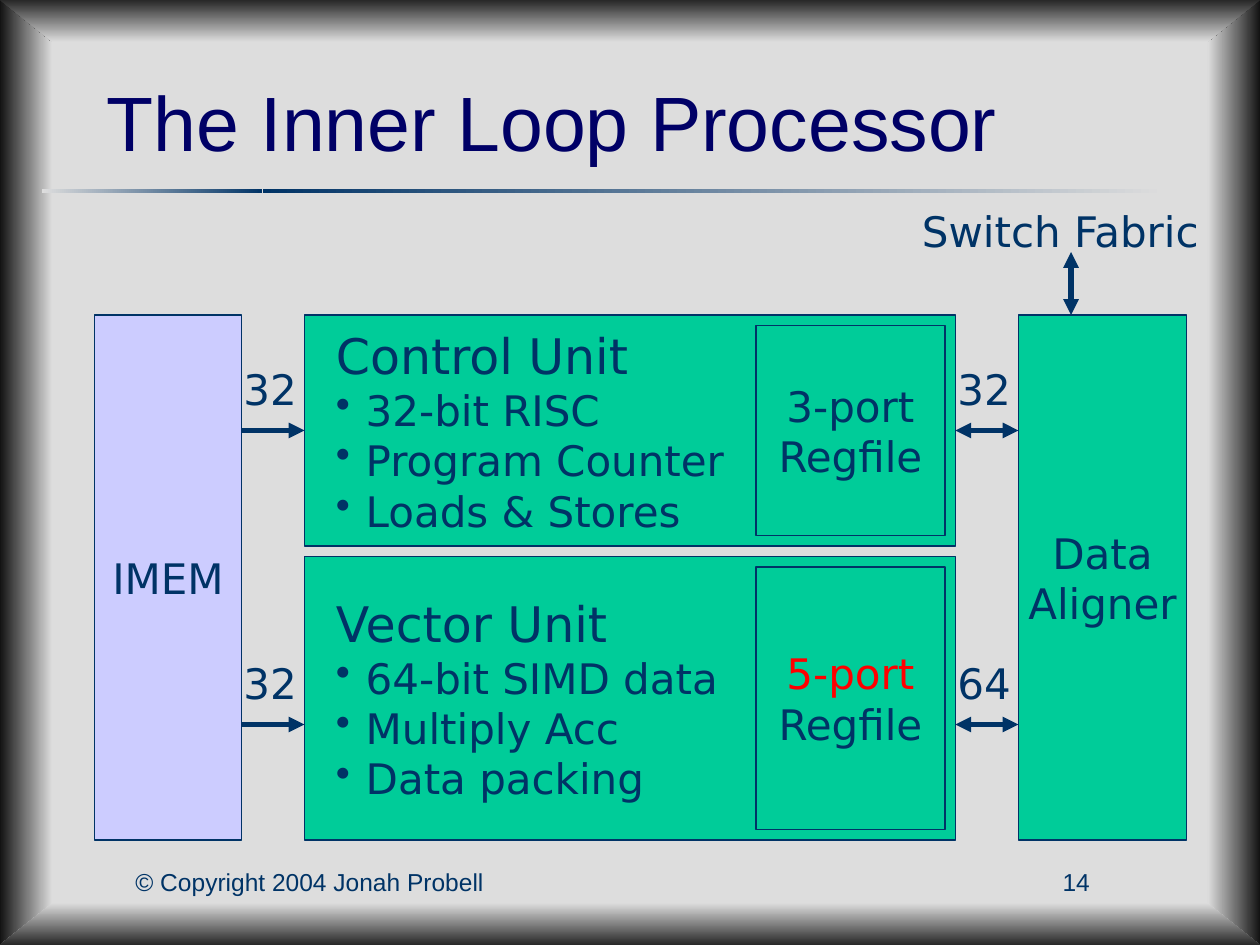
from dataclasses import dataclass
from typing import NamedTuple

from lxml import etree
from pptx import Presentation
from pptx import util as u
from pptx.dml.color import RGBColor
from pptx.enum import shapes, text
from pptx.oxml import ns

HUES = {
    "pale": "DDDDDD", "side": "131313", "edge": "272727", "ink": "003366",
    "title": "000066", "green": "00CC99", "lilac": "CCCCFF", "red": "FF0000",
}
SANS, ARIAL = "DejaVu Sans", "Arial"
MID, TOP = text.MSO_ANCHOR.MIDDLE, text.MSO_ANCHOR.TOP
LEFT, CENTER = text.PP_ALIGN.LEFT, text.PP_ALIGN.CENTER
WIDE, HIGH = 720, 540


class Row(NamedTuple):
    words: str
    size: float = 24
    hue: str = "ink"
    dot: bool = False


class Area(NamedTuple):
    x: float
    y: float
    w: float
    h: float


@dataclass
class Block:
    area: Area
    rows: list[Row]
    fill: str = ""
    pad: tuple[float, float] = (7.2, 3.6)
    align: text.PP_ALIGN = CENTER
    anchor: text.MSO_ANCHOR = MID
    font: str = SANS


@dataclass
class Fade:
    area: Area
    start: str
    end: str


@dataclass
class Trim:
    spots: list[tuple[float, float]]
    start: str
    end: str


@dataclass
class Arrow:
    x: float
    y: float
    dx: float
    dy: float
    both: bool


def tint(key: str) -> RGBColor:
    return RGBColor.from_string(HUES[key])


def shade(shape, start: str, end: str, angle: float) -> None:
    shape.shadow.inherit = False
    shape.line.fill.background()
    shape.fill.gradient()
    shape.fill.gradient_angle = angle
    for stop, key in zip(shape.fill.gradient_stops, (start, end)):
        stop.color.rgb = tint(key)


def draw_fade(slide, fade: Fade) -> None:
    shape = slide.shapes.add_shape(shapes.MSO_SHAPE.RECTANGLE, *map(u.Pt, fade.area))
    shade(shape, fade.start, fade.end, 180)


def draw_trim(slide, trim: Trim) -> None:
    first, *rest = [(u.Pt(x), u.Pt(y)) for x, y in trim.spots]
    pen = slide.shapes.build_freeform(*first)
    pen.add_line_segments(rest, close=True)
    shade(pen.convert_to_shape(), trim.start, trim.end, 270)


def add_dot(para) -> None:
    props = para._p.get_or_add_pPr()
    props.set("marL", str(u.Pt(17)))
    props.set("indent", str(-u.Pt(17)))
    color = etree.SubElement(props, ns.qn("a:buClr"))
    etree.SubElement(color, ns.qn("a:srgbClr"), val=HUES["ink"])
    etree.SubElement(props, ns.qn("a:buChar"), char="•")


def draw_block(slide, block: Block) -> None:
    spot = [u.Pt(v) for v in block.area]
    if block.fill:
        shape = slide.shapes.add_shape(shapes.MSO_SHAPE.RECTANGLE, *spot)
        shape.shadow.inherit = False
        shape.fill.solid()
        shape.fill.fore_color.rgb = tint(block.fill)
        shape.line.color.rgb = tint("ink")
        shape.line.width = u.Pt(0.75)
    else:
        shape = slide.shapes.add_textbox(*spot)
    frame = shape.text_frame
    frame.word_wrap = True
    frame.vertical_anchor = block.anchor
    frame.margin_left = frame.margin_right = u.Pt(block.pad[0])
    frame.margin_top = frame.margin_bottom = u.Pt(block.pad[1])
    frame.text = "\n".join(row.words for row in block.rows)
    for para, row in zip(frame.paragraphs, block.rows):
        para.alignment = block.align
        if row.dot:
            add_dot(para)
        for run in para.runs:
            run.font.name = block.font
            run.font.size = u.Pt(row.size)
            run.font.color.rgb = tint(row.hue)


def draw_arrow(slide, arrow: Arrow) -> None:
    ends = (arrow.x, arrow.y, arrow.x + arrow.dx, arrow.y + arrow.dy)
    link = slide.shapes.add_connector(shapes.MSO_CONNECTOR.STRAIGHT, *map(u.Pt, ends))
    link.line.color.rgb = tint("ink")
    link.line.width = u.Pt(3)
    props = link.element.spPr
    line = props.find(ns.qn("a:ln"))
    for tag in ("a:headEnd", "a:tailEnd") if arrow.both else ("a:tailEnd",):
        etree.SubElement(line, ns.qn(tag), type="triangle")
    etree.SubElement(props, ns.qn("a:effectLst"))


def unit(y: float, h: float, name: str, points: list[str], port: Row) -> list[Block]:
    rows = [Row(name, 28)] + [Row(point, dot=True) for point in points]
    return [
        Block(Area(174, y, 372, h), rows, "green", (18, 18), LEFT),
        Block(Area(432, y + 6, 108, h - 12), [port, Row("Regfile")], "green"),
    ]


def label(x: float, y: float, words: str) -> Block:
    return Block(Area(x, y, 48, 36), [Row(words)], align=LEFT, anchor=TOP)


FADES = [
    Fade(Area(0, 0, 30, HIGH), "pale", "side"),
    Fade(Area(WIDE - 30, 0, 30, HIGH), "side", "pale"),
    Fade(Area(24, 108, 126, 2.25), "ink", "pale"),
    Fade(Area(150, 108, 516, 2.25), "pale", "ink"),
]
TRIMS = [
    Trim([(0, 0), (WIDE, 0), (WIDE - 30, 24), (30, 24)], "edge", "pale"),
    Trim([(WIDE, HIGH), (0, HIGH), (30, HIGH - 24), (WIDE - 30, HIGH - 24)], "pale", "edge"),
]
BLOCKS = [
    Block(Area(54, 30, 612, 78), [Row("The Inner Loop Processor", 44, "title")],
          align=LEFT, font=ARIAL),
    Block(Area(582, 180, 96, 300), [Row("Data Aligner")], "green", (0, 0)),
    Block(Area(54, 180, 84, 300), [Row("IMEM")], "lilac", (0, 0)),
    *unit(180, 132, "Control Unit",
          ["32-bit RISC", "Program Counter", "Loads & Stores"], Row("3-port")),
    *unit(318, 162, "Vector Unit",
          ["64-bit SIMD data", "Multiply Acc", "Data packing"], Row("5-port", hue="red")),
    Block(Area(516, 114, 180, 36), [Row("Switch Fabric")], anchor=TOP),
    Block(Area(54, 492, 246, 18), [Row("© Copyright 2004 Jonah Probell", 14)],
          anchor=TOP, font=ARIAL),
    Block(Area(564, 492, 102, 18), [Row("14", 14)], anchor=TOP, font=ARIAL),
]
LANES = [(246, "32", "32"), (414, "32", "64")]


def main() -> None:
    deck = Presentation()
    deck.slide_width, deck.slide_height = u.Pt(WIDE), u.Pt(HIGH)
    slide = deck.slides.add_slide(deck.slide_layouts[6])
    slide.background.fill.solid()
    slide.background.fill.fore_color.rgb = tint("pale")
    for fade in FADES:
        draw_fade(slide, fade)
    for trim in TRIMS:
        draw_trim(slide, trim)
    for block in BLOCKS:
        draw_block(slide, block)
    draw_arrow(slide, Arrow(612, 180, 0, -36, True))
    for y, left, right in LANES:
        draw_arrow(slide, Arrow(138, y, 36, 0, False))
        draw_arrow(slide, Arrow(546, y, 36, 0, True))
        draw_block(slide, label(132, y - 42, left))
        draw_block(slide, label(540, y - 42, right))
    deck.save("out.pptx")


if __name__ == "__main__":
    main()
